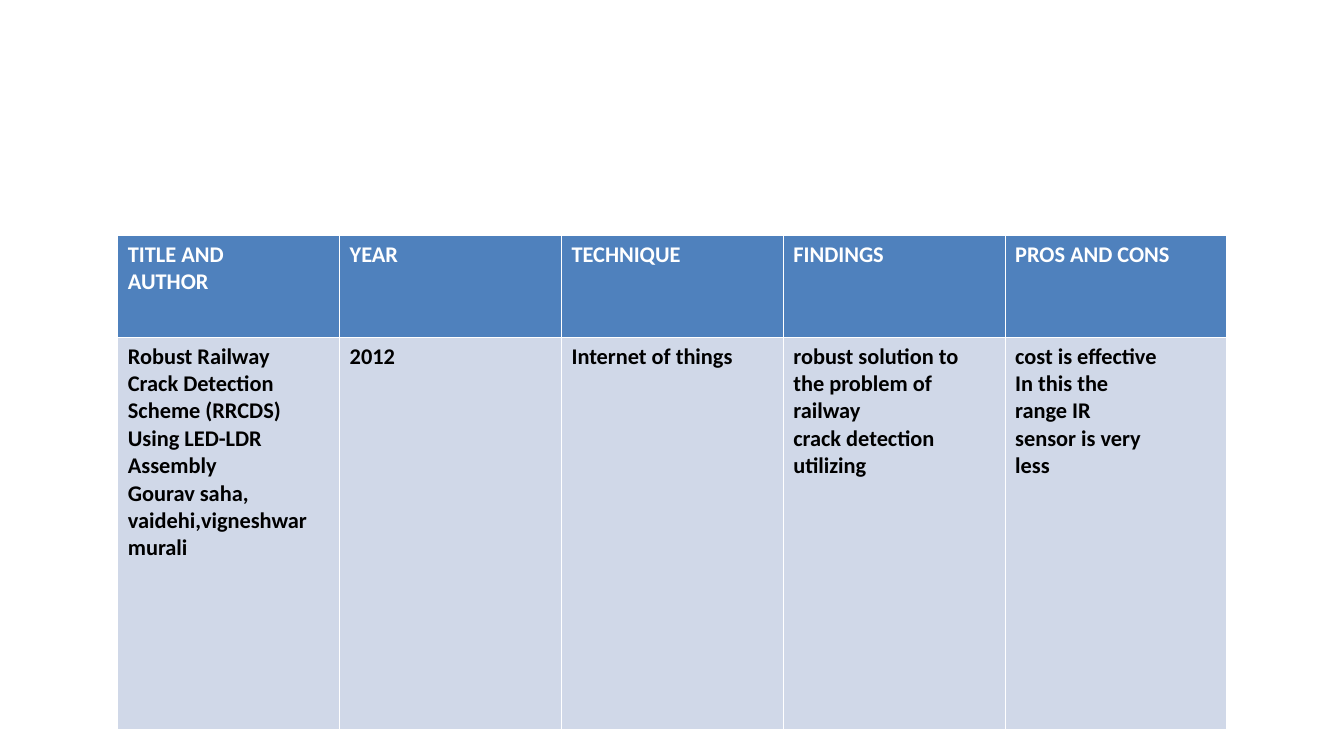
from pptx import Presentation
from pptx import util as u
from pptx.dml.color import RGBColor

WHITE = RGBColor(0xFF, 0xFF, 0xFF)
BLACK = RGBColor(0x00, 0x00, 0x00)
BLUE = RGBColor(0x4F, 0x81, 0xBD)
PALE = RGBColor(0xD0, 0xD8, 0xE8)

HEADS = ["TITLE AND\nAUTHOR", "YEAR", "TECHNIQUE", "FINDINGS", "PROS AND CONS"]
STUDY = [
    "Robust Railway\nCrack Detection\nScheme (RRCDS)\nUsing LED-LDR\nAssembly\n"
    "Gourav saha,\nvaidehi,vigneshwar\nmurali",
    "2012",
    "Internet of things",
    "robust solution to\nthe problem of railway\ncrack detection utilizing",
    "cost is effective\nIn this the\nrange IR\nsensor is very\nless",
]
# texts, row height in cm, fill, font colour
ROWS = [(HEADS, 2.57, BLUE, WHITE), (STUDY, 9.88, PALE, BLACK)]
LEFT, TOP, WIDE = 2.97, 5.94, 5.59


def write(cell, words, fill, ink):
    cell.fill.solid()
    cell.fill.fore_color.rgb = fill
    cell.text_frame.text = words
    for para in cell.text_frame.paragraphs:
        for run in para.runs:
            font = run.font
            font.name, font.size, font.bold = "Calibri", u.Pt(16), True
            font.color.rgb = ink


deck = Presentation()
deck.slide_width, deck.slide_height = u.Cm(33.87), u.Cm(19.05)
slide = deck.slides.add_slide(deck.slide_layouts[6])

# The default table style draws the white rules, thick below the header.
table = slide.shapes.add_table(
    len(ROWS), len(HEADS), u.Cm(LEFT), u.Cm(TOP),
    u.Cm(WIDE * len(HEADS)), u.Cm(sum(row[1] for row in ROWS))).table
for col in table.columns:
    col.width = u.Cm(WIDE)
for r, (texts, high, fill, ink) in enumerate(ROWS):
    table.rows[r].height = u.Cm(high)
    for c, words in enumerate(texts):
        write(table.cell(r, c), words, fill, ink)

deck.save("out.pptx")
